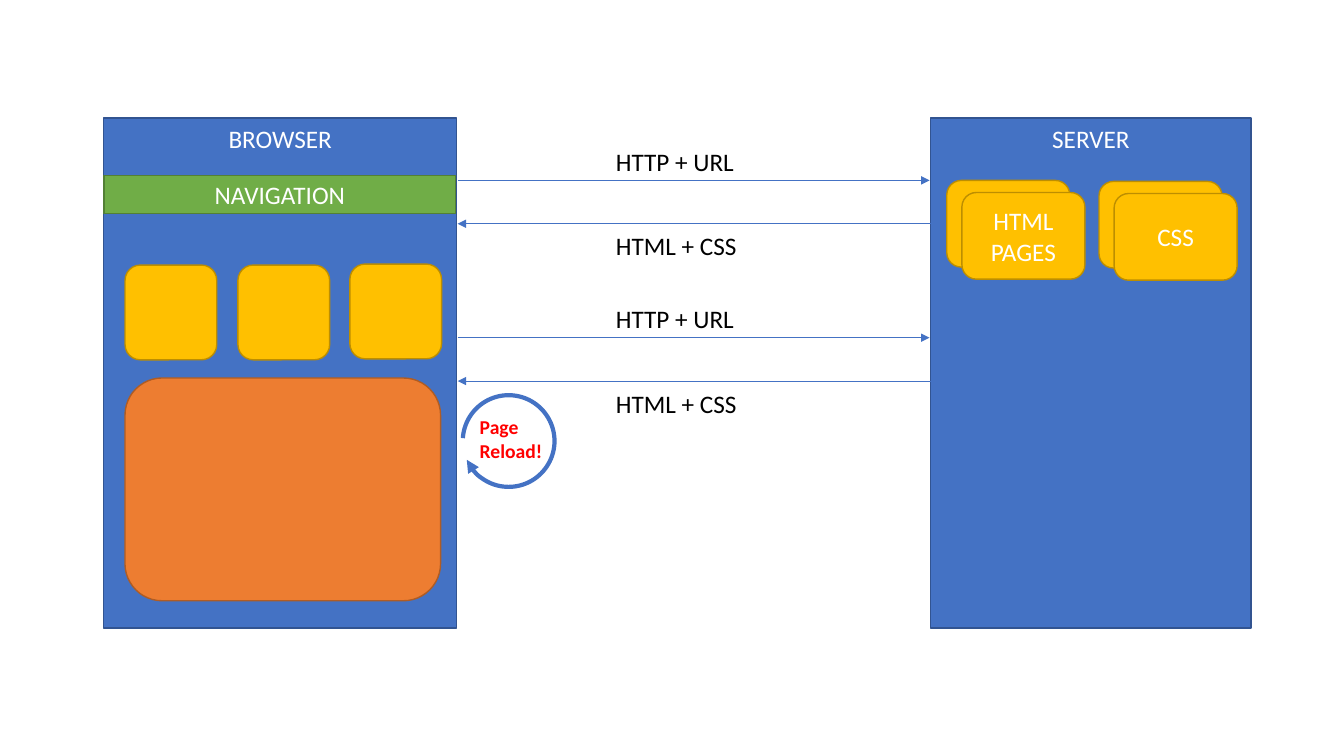
from dataclasses import dataclass

from lxml.etree import SubElement
from pptx import Presentation
from pptx.dml.color import RGBColor
from pptx.enum.shapes import MSO_CONNECTOR, MSO_SHAPE
from pptx.enum.text import MSO_ANCHOR, MSO_AUTO_SIZE, PP_ALIGN
from pptx.oxml.ns import qn
from pptx.util import Pt

PX = 9144  # EMU in one px, 100 px to the inch


@dataclass(frozen=True)
class Theme:
    font: str = "Calibri"
    body: int = 18
    small: int = 14
    white: str = "FFFFFF"
    black: str = "000000"
    red: str = "FF0000"
    blue: tuple = ("4472C4", "325491")
    green: tuple = ("70AD47", "538035")
    gold: tuple = ("FFC000", "BD8E00")
    orange: tuple = ("ED7D31", "AF5C24")


def style(item, **values):
    for name, value in values.items():
        setattr(item, name, value)


def emu(*px):
    return [n * PX for n in px]


class Page:
    def __init__(self, theme, slide):
        self.theme = theme
        self.shapes = slide.shapes

    def words(self, frame, lines, size, color, align, **values):
        style(frame, **values)
        for i, line in enumerate(lines):
            para = frame.add_paragraph() if i else frame.paragraphs[0]
            para.alignment = align
            run = para.add_run()
            run.text = line
            style(run.font, name=self.theme.font, size=Pt(size),
                  bold=size == self.theme.small)
            run.font.color.rgb = RGBColor.from_string(color)

    def stroke(self, line, color, width, head=False):
        line.color.rgb = RGBColor.from_string(color)
        line.width = Pt(width)
        if head:
            SubElement(line._get_or_add_ln(), qn("a:tailEnd"), type="triangle")

    def box(self, place, paint, text="", kind=MSO_SHAPE.RECTANGLE,
            anchor=MSO_ANCHOR.MIDDLE):
        shape = self.shapes.add_shape(kind, *emu(*place))
        shape.shadow.inherit = False
        fill, edge = paint
        shape.fill.solid()
        shape.fill.fore_color.rgb = RGBColor.from_string(fill)
        self.stroke(shape.line, edge, 1)
        if text:
            self.words(shape.text_frame, [text], self.theme.body,
                       self.theme.white, PP_ALIGN.CENTER,
                       word_wrap=True, vertical_anchor=anchor)

    def card(self, place, paint, text=""):
        self.box(place, paint, text, MSO_SHAPE.ROUNDED_RECTANGLE)

    def panel(self, place, title):
        self.box(place, self.theme.blue, title, anchor=MSO_ANCHOR.TOP)

    def stack(self, left, top, text):
        """Two offset cards, the front one with text."""
        self.card((left, top, 122, 86), self.theme.gold)
        self.card((left + 15, top + 12, 122, 86), self.theme.gold, text)

    def arrow(self, start, end, y):
        line = self.shapes.add_connector(
            MSO_CONNECTOR.STRAIGHT, *emu(start, y, end, y))
        self.stroke(line.line, self.theme.blue[0], 0.5, head=True)
        SubElement(line._element.spPr, qn("a:effectLst"))

    def label(self, place, lines, size, color):
        text = self.shapes.add_textbox(*emu(*place))
        self.words(text.text_frame, lines, size, color, PP_ALIGN.LEFT,
                   word_wrap=False, auto_size=MSO_AUTO_SIZE.SHAPE_TO_FIT_TEXT)

    def trip(self, top):
        """A request to the server and its response."""
        self.arrow(454, 922, top)
        self.arrow(923, 454, top + 43)
        for shift, width, text in ((-39, 139, "HTTP + URL"),
                                   (45, 147, "HTML + CSS")):
            self.label((601, top + shift, width, 40), [text],
                       self.theme.body, self.theme.black)

    def loop(self, place):
        """An open ring that ends in an arrowhead."""
        ring = self.shapes.add_shape(MSO_SHAPE.ARC, *emu(*place))
        ring.shadow.inherit = False
        ring.fill.background()
        ring.rotation = 273.6
        for i, turn in enumerate((162, 145.33)):
            ring.adjustments[i] = turn
        self.stroke(ring.line, self.theme.blue[0], 3, head=True)


def main():
    deck = Presentation()
    style(deck, slide_width=1333 * PX, slide_height=750 * PX)
    theme = Theme()
    page = Page(theme, deck.slides.add_slide(deck.slide_layouts[6]))

    page.panel((923, 117, 318, 506), "SERVER")
    page.stack(939, 179, "HTML PAGES")
    page.stack(1090, 180, "CSS")

    page.panel((103, 117, 350, 506), "BROWSER")
    page.box((103, 174, 349, 38), theme.green, "NAVIGATION")
    for left, top in ((124, 263), (236, 263), (347, 262)):
        page.card((left, top, 91, 94), theme.gold)
    page.card((124, 375, 313, 221), theme.orange)

    for top in (179, 335):
        page.trip(top)
    page.loop((459, 392, 91, 91))
    page.label((466, 407, 83, 57), ["Page", "Reload!"], theme.small, theme.red)

    deck.save("out.pptx")


if __name__ == "__main__":
    main()
